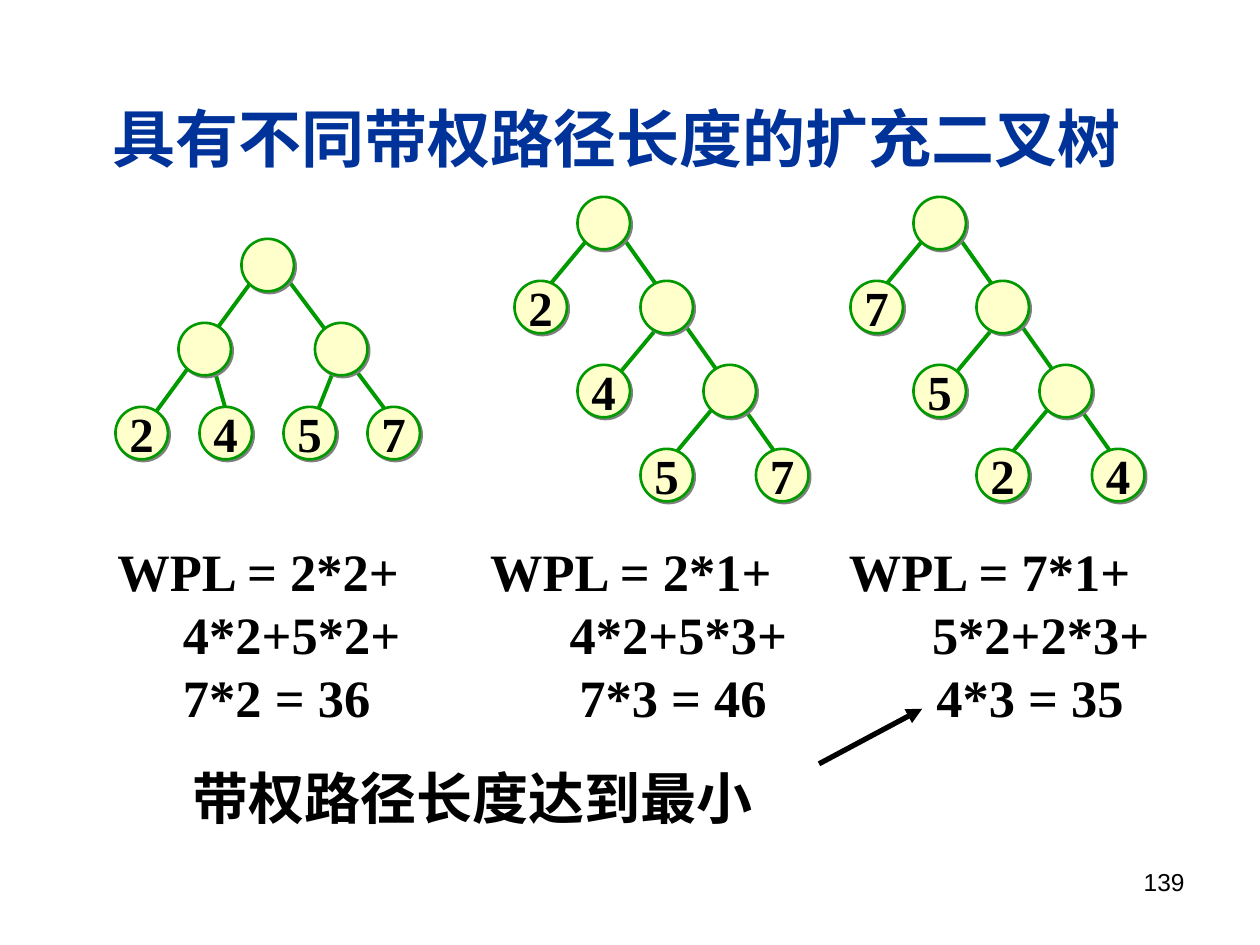
from lxml.etree import SubElement
from pptx import Presentation
from pptx.dml.color import RGBColor
from pptx.enum.shapes import MSO_CONNECTOR, MSO_SHAPE
from pptx.enum.text import MSO_ANCHOR, PP_ALIGN
from pptx.oxml.ns import qn
from pptx.util import Pt

TITLE = "具有不同带权路径长度的扩充二叉树"
CONCLUSION = "带权路径长度达到最小"
PAGE_NUMBER = "139"
SERIF = "Times New Roman"
CHINESE = "Noto Sans CJK SC"

NODE_SIZE = 30
LEVEL_HEIGHT = 48

BALANCED_NODES = [(0, 0), (-36, 1), (42, 1), (-72, 2), (-24, 2), (24, 2), (72, 2)]
BALANCED_EDGES = [
    (18, 12, 90, 108), (54, 72, 42, 102), (-18, 66, -6, 108), (6, 24, -60, 114),
]
CHAIN_NODES = [(0, 0), (36, 1), (72, 2), (-36, 1), (0, 2), (36, 3), (102, 3)]
CHAIN_EDGES = [
    (6, 24, -24, 60), (48, 72, 18, 108), (78, 120, 48, 156), (18, 12, 120, 156),
]
TREES = [
    (138, 136.5, BALANCED_NODES, BALANCED_EDGES, "2457"),
    (330, 112.5, CHAIN_NODES, CHAIN_EDGES, "2457"),
    (522, 112.5, CHAIN_NODES, CHAIN_EDGES, "7524"),
]

FORMULAS = [
    ("WPL = 2*2+\tWPL = 2*1+\tWPL = 7*1+", (213, 418)),
    ("\t4*2+5*2+\t4*2+5*3+\t5*2+2*3+", (37.5, 258.5, 465.5)),
    ("\t7*2 = 36\t7*3 = 46\t4*3 = 35", (37.5, 264, 468)),
]


def color(value):
    return RGBColor.from_string(value)


def style(paragraph, size, value="000000", name=SERIF, bold=True):
    font = paragraph.font
    font.size, font.bold, font.name = Pt(size), bold, name
    font.color.rgb = color(value)
    for run in paragraph.runs:
        SubElement(run._r.get_or_add_rPr(), qn("a:ea"), typeface=CHINESE)


def add_text_box(slide, left, top, width, height):
    box = slide.shapes.add_textbox(Pt(left), Pt(top), Pt(width), Pt(height))
    box.text_frame.word_wrap = True
    return box.text_frame


def add_tabs(paragraph, positions):
    tabs = SubElement(paragraph._p.get_or_add_pPr(), qn("a:tabLst"))
    for position in positions:
        SubElement(tabs, qn("a:tab"), pos=str(int(Pt(position))), algn="l")


def add_line(slide, ends, value, width):
    line = slide.shapes.add_connector(MSO_CONNECTOR.STRAIGHT, *map(Pt, ends))
    line.line.color.rgb = color(value)
    line.line.width = Pt(width)
    SubElement(line._element.spPr, qn("a:effectLst"))
    return line


def add_node(slide, left, top, label):
    node = slide.shapes.add_shape(
        MSO_SHAPE.OVAL, Pt(left), Pt(top), Pt(NODE_SIZE), Pt(NODE_SIZE))
    node.fill.solid()
    node.fill.fore_color.rgb = color("FFFFCC")
    node.line.color.rgb = color("009900")
    node.line.width = Pt(1.5)
    effects = SubElement(node._element.spPr, qn("a:effectLst"))
    shadow = SubElement(effects, qn("a:outerShdw"), dist=str(int(Pt(1.41))),
                        dir="2700000", algn="ctr", rotWithShape="0")
    SubElement(shadow, qn("a:srgbClr"), val="808080")
    if label:
        frame = node.text_frame
        frame.margin_left = frame.margin_right = 0
        frame.margin_top = frame.margin_bottom = 0
        frame.word_wrap = False
        frame.vertical_anchor = MSO_ANCHOR.MIDDLE
        paragraph = frame.paragraphs[0]
        paragraph.text = label
        paragraph.alignment = PP_ALIGN.CENTER
        style(paragraph, 28)


def add_tree(slide, left, top, nodes, edges, weights):
    for x1, y1, x2, y2 in edges:
        add_line(slide, (left + x1, top + y1, left + x2, top + y2), "009900", 2.25)
    inner_count = len(nodes) - len(weights)
    labels = [""] * inner_count + list(weights)
    for (offset, level), label in zip(nodes, labels):
        add_node(slide, left + offset, top + level * LEVEL_HEIGHT, label)


def main():
    presentation = Presentation()
    presentation.slide_width, presentation.slide_height = Pt(720), Pt(540)
    slide = presentation.slides.add_slide(presentation.slide_layouts[6])

    title = add_text_box(slide, 57, 53.5, 600, 50).paragraphs[0]
    title.text = TITLE
    style(title, 36, "003399")

    for tree in TREES:
        add_tree(slide, *tree)

    frame = add_text_box(slide, 60, 304.5, 612, 176)
    for index, (text, tabs) in enumerate(FORMULAS):
        paragraph = frame.add_paragraph() if index else frame.paragraphs[0]
        paragraph.text = text
        add_tabs(paragraph, tabs)
        style(paragraph, 30)
    conclusion = frame.add_paragraph()
    conclusion.text = "\t" + CONCLUSION
    conclusion.space_before = Pt(20)
    add_tabs(conclusion, [43])
    style(conclusion, 32, name=CHINESE)

    arrow = add_line(slide, (468, 436.5, 527, 405), "000000", 3)
    SubElement(arrow.line._get_or_add_ln(), qn("a:tailEnd"), type="triangle")

    number = add_text_box(slide, 516, 492, 168, 37.5).paragraphs[0]
    number.text = PAGE_NUMBER
    number.alignment = PP_ALIGN.RIGHT
    style(number, 14, name="Arial", bold=False)

    presentation.save("out.pptx")


if __name__ == "__main__":
    main()
